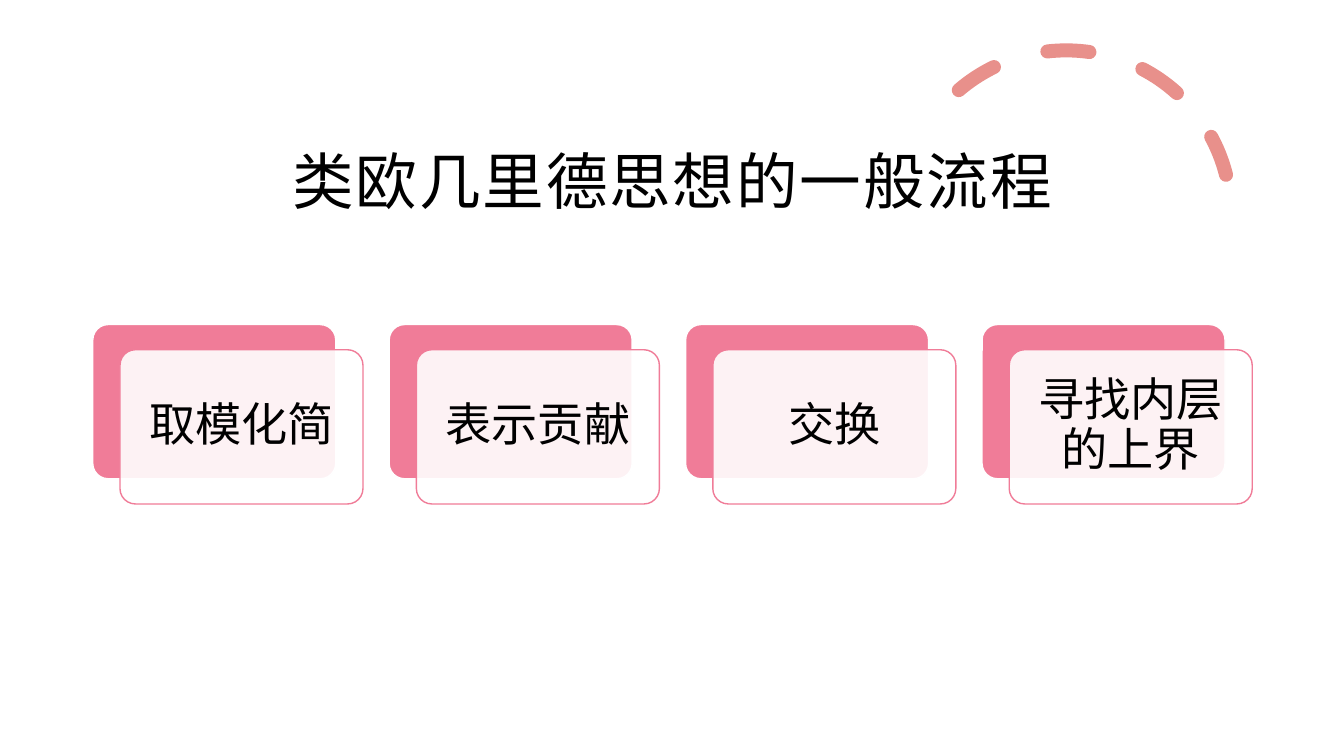
from lxml import etree
from pptx import Presentation
from pptx.dml.color import RGBColor
from pptx.enum.dml import MSO_LINE
from pptx.enum.shapes import MSO_SHAPE
from pptx.enum.text import MSO_ANCHOR, MSO_AUTO_SIZE, PP_ALIGN
from pptx.oxml.ns import qn
from pptx.util import Inches, Pt

ARC, ROUNDED = MSO_SHAPE.ARC, MSO_SHAPE.ROUNDED_RECTANGLE
DASH = MSO_LINE.DASH
MIDDLE, CENTER, NO_FIT = MSO_ANCHOR.MIDDLE, PP_ALIGN.CENTER, MSO_AUTO_SIZE.NONE
FONT = "Noto Sans CJK SC"
COLORS = {
    name: RGBColor.from_string(value)
    for name, value in {
        "white": "FFFFFF", "text": "000000", "pink": "F07C98", "coral": "E8908B",
    }.items()
}
STEPS = ["取模化简", "表示贡献", "交换", "寻找内层的上界"]
LEFT, TOP, PITCH = 0.92, 3.22, 2.94
CARD_WIDTH, CARD_HEIGHT = 2.41, 1.53
OFFSET_X, OFFSET_Y = 0.27, 0.25


def write_text(shape, text, size, line_spacing, inset, bottom=None, spacing=0):
    """Fill a shape with one centred paragraph; insets in inches, spacing in points."""
    frame = shape.text_frame
    frame.word_wrap = True
    frame.auto_size = NO_FIT
    frame.vertical_anchor = MIDDLE
    frame.margin_left = frame.margin_right = frame.margin_top = Inches(inset)
    frame.margin_bottom = Inches(inset if bottom is None else bottom)
    paragraph = frame.paragraphs[0]
    paragraph.alignment = CENTER
    paragraph.line_spacing = line_spacing
    run = paragraph.add_run()
    run.text = text
    run.font.size = Pt(size)
    run.font.name = FONT
    run.font.color.rgb = COLORS["text"]
    properties = run.font._element
    properties.set("spc", str(round(spacing * 100)))
    etree.SubElement(properties, qn("a:ea"), typeface=FONT)


def add_outlined(kind, left, top, width, height, line, weight, fill=None):
    shape = slide.shapes.add_shape(
        kind, Inches(left), Inches(top), Inches(width), Inches(height))
    shape.shadow.inherit = False
    shape.line.color.rgb = COLORS[line]
    shape.line.width = Pt(weight)
    if fill:
        shape.fill.solid()
        shape.fill.fore_color.rgb = COLORS[fill]
    else:
        shape.fill.background()
    return shape


presentation = Presentation()
presentation.slide_width = Inches(13.33)
presentation.slide_height = Inches(7.5)
slide = presentation.slides.add_slide(presentation.slide_layouts[5])
slide.background.fill.solid()
slide.background.fill.fore_color.rgb = COLORS["white"]

# Dashed arc
arc = add_outlined(ARC, 8.94, 0.5, 3.27, 3.27, line="coral", weight=10)
arc.rotation = 345.8
arc.adjustments[0] = 146.13
arc.adjustments[1] = 0
arc.line.dash_style = DASH
arc.line._get_or_add_ln().set("cap", "rnd")

# Title
title = slide.shapes.title
title.left, title.top = Inches(LEFT), Inches(1.03)
title.width, title.height = Inches(11.5), Inches(1.45)
write_text(title, "类欧几里德思想的一般流程", size=44, line_spacing=1.05,
           inset=0.12, bottom=0.1, spacing=1.3)

# Step cards
for column, step in enumerate(STEPS):
    left = LEFT + column * PITCH
    back = add_outlined(ROUNDED, left, TOP, CARD_WIDTH, CARD_HEIGHT,
                        line="white", weight=1, fill="pink")
    front = add_outlined(ROUNDED, left + OFFSET_X, TOP + OFFSET_Y, CARD_WIDTH,
                         CARD_HEIGHT, line="pink", weight=1, fill="white")
    back.adjustments[0] = front.adjustments[0] = 0.1
    fill_color = front._element.spPr.find(qn("a:solidFill")).find(qn("a:srgbClr"))
    etree.SubElement(fill_color, qn("a:alpha"), val="90000")
    write_text(front, step, size=33, line_spacing=0.9, inset=0.14)

presentation.save("out.pptx")
